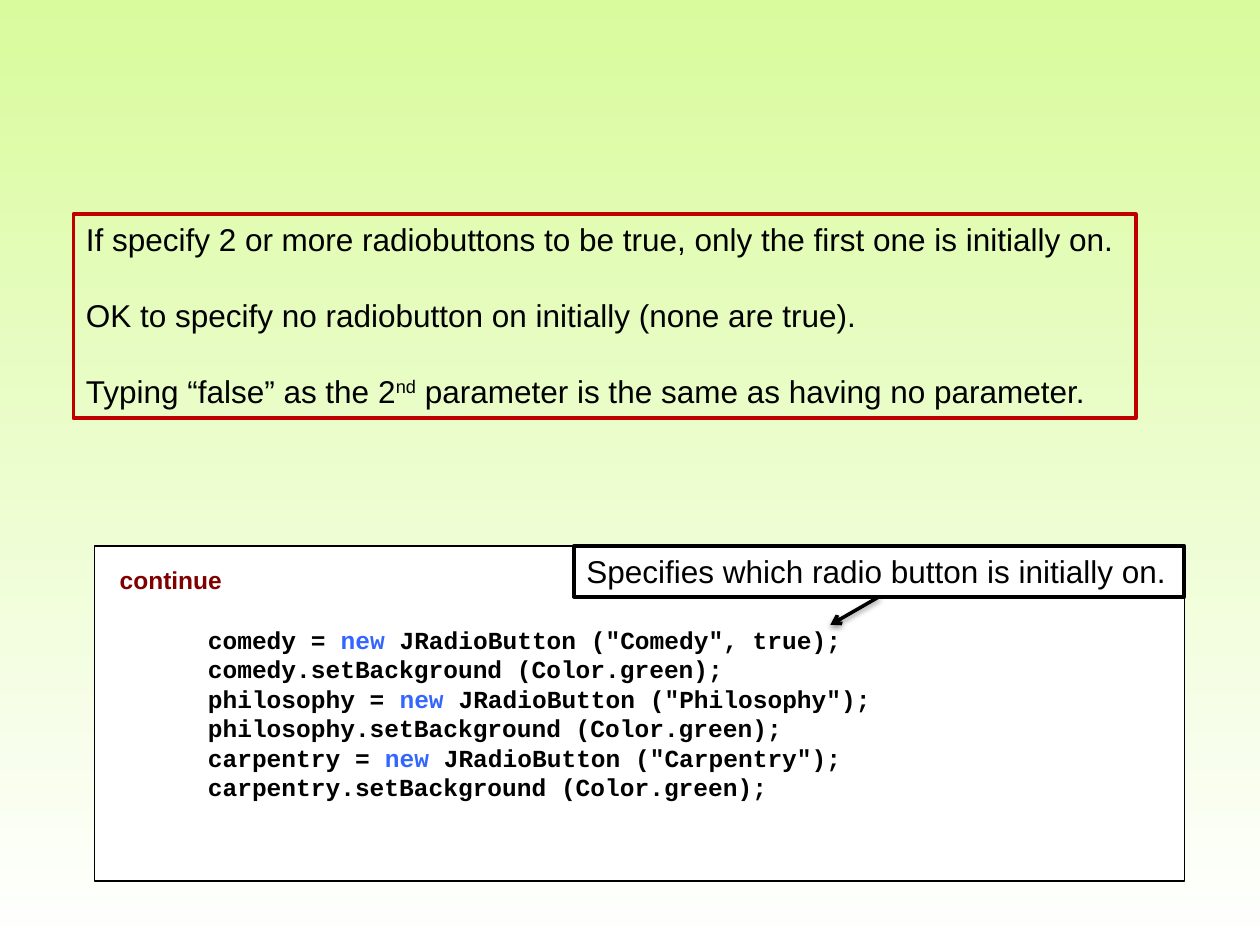
import pptx
import pptx.util
import pptx.oxml
import pptx.oxml.ns
from pptx.dml.color import RGBColor
from pptx.enum.shapes import MSO_CONNECTOR, MSO_SHAPE
from pptx.enum.text import MSO_ANCHOR, PP_ALIGN

Pt = pptx.util.Pt
BLACK = RGBColor(0x00, 0x00, 0x00)
WHITE = RGBColor(0xFF, 0xFF, 0xFF)
LIME = RGBColor(0xD9, 0xFB, 0x9D)
RED = RGBColor(0xC0, 0x00, 0x00)
MAROON = RGBColor(0x80, 0x00, 0x00)
BLUE = RGBColor(0x33, 0x66, 0xFF)

CODE = [
    'comedy = new JRadioButton ("Comedy", true);',
    "comedy.setBackground (Color.green);",
    'philosophy = new JRadioButton ("Philosophy");',
    "philosophy.setBackground (Color.green);",
    'carpentry = new JRadioButton ("Carpentry");',
    "carpentry.setBackground (Color.green);",
]
NOTES = [
    "If specify 2 or more radiobuttons to be true, only the first one is initially on.",
    "OK to specify no radiobutton on initially (none are true).",
    "Typing “false” as the 2",
]


def add_box(s, left, top, width, height, line, weight):
    sp = s.shapes.add_shape(MSO_SHAPE.RECTANGLE, Pt(left), Pt(top), Pt(width), Pt(height))
    sp.shadow.inherit = False
    sp.fill.background()
    sp.line.color.rgb = line
    sp.line.width = Pt(weight)
    tf = sp.text_frame
    tf.word_wrap = True
    tf.vertical_anchor = MSO_ANCHOR.TOP
    tf.margin_right = 0
    return sp


def style(p, size, font="Arial", color=BLACK, bold=False):
    p.alignment = PP_ALIGN.LEFT
    p.line_spacing = Pt(size * 1.2)
    p.font.size = Pt(size)
    p.font.name = font
    p.font.color.rgb = color
    p.font.bold = bold


prs = pptx.Presentation()
prs.slide_width, prs.slide_height = Pt(720), Pt(540)
s = prs.slides.add_slide(prs.slide_layouts[6])

bg = s.background.fill
bg.gradient()
bg.gradient_angle = 270
for stop, color in zip(bg.gradient_stops, (LIME, WHITE)):
    stop.color.rgb = color

code = add_box(s, 54, 312, 622.8, 191.5, BLACK, 0.75)
code.fill.solid()
code.fill.fore_color.rgb = WHITE
tf = code.text_frame
tf.margin_left = tf.margin_right = Pt(14.4)
tf.margin_top = tf.margin_bottom = Pt(10.8)
p = tf.paragraphs[0]
p.text = "continue"
style(p, 14, color=MAROON, bold=True)
for i, text in enumerate(CODE):
    p = tf.add_paragraph()
    before, keyword, after = text.partition("new ")
    for part in filter(None, (before, keyword, after)):
        r = p.add_run()
        r.text = part
        if part == keyword:
            r.font.color.rgb = BLUE
    style(p, 14, font="Courier New", bold=True)
    p.space_before = Pt(17.5 if i == 0 else 0)
    p._p.get_or_add_pPr().set("marL", str(Pt(50.4)))
    p._p.get_or_add_pPr().set("indent", "0")

callout = add_box(s, 328, 312, 348.8, 29, BLACK, 2.25)
p = callout.text_frame.paragraphs[0]
p.text = "Specifies which radio button is initially on."
style(p, 18)

arrow = s.shapes.add_connector(MSO_CONNECTOR.STRAIGHT, Pt(504), Pt(341), Pt(474.5), Pt(357))
arrow.begin_connect(callout, 2)
arrow.line.color.rgb = BLACK
arrow.line.width = Pt(2)
ns = pptx.oxml.ns.nsdecls("a")
arrow.line._get_or_add_ln().append(pptx.oxml.parse_xml(f'<a:tailEnd {ns} type="arrow"/>'))
arrow._element.spPr.append(pptx.oxml.parse_xml(
    f'<a:effectLst {ns}><a:outerShdw blurRad="{Pt(3.1)}" dist="{Pt(1.6)}" dir="5400000" rotWithShape="0">'
    '<a:srgbClr val="000000"><a:alpha val="38000"/></a:srgbClr></a:outerShdw></a:effectLst>'))

notes = add_box(s, 42, 122.4, 607, 116.6, RED, 2.25)
tf = notes.text_frame
for i, text in enumerate(NOTES):
    p = tf.add_paragraph() if i else tf.paragraphs[0]
    p.add_run().text = text
    style(p, 18)
    p.space_before = Pt(21.6 if i else 0)
r = p.add_run()
r.text = "nd"
r.font._element.set("baseline", "30000")
p.add_run().text = " parameter is the same as having no parameter."

prs.save("out.pptx")
